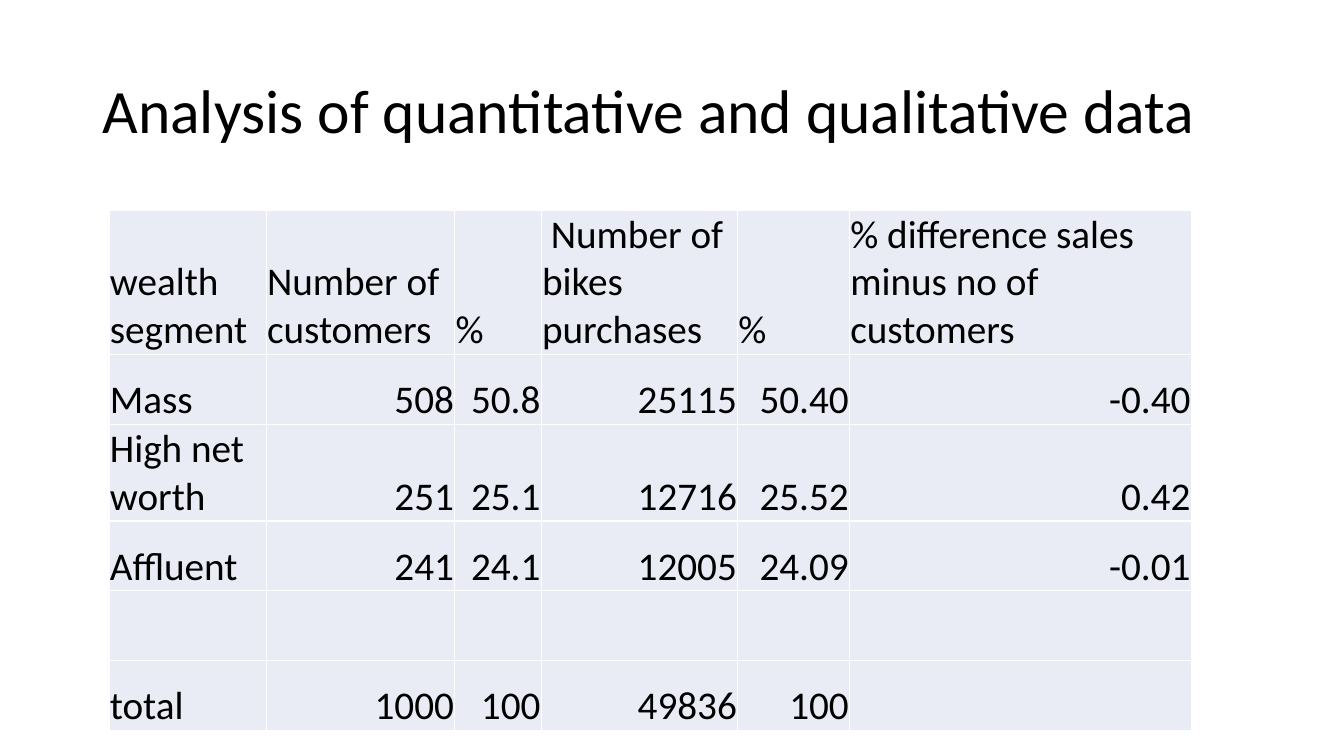
from pptx import Presentation
from pptx import util as u
from pptx.dml.color import RGBColor
from pptx.enum import text

# Content
TITLE = "Analysis of quantitative and qualitative data"
ROWS = [
    ("wealth segment", "Number of customers", "%", " Number of bikes purchases", "%",
     "% difference sales minus no of customers"),
    ("Mass", "508", "50.8", "25115", "50.40", "-0.40"),
    ("High net worth", "251", "25.1", "12716", "25.52", "0.42"),
    ("Affluent", "241", "24.1", "12005", "24.09", "-0.01"),
    ("", "", "", "", "", ""),
    ("total", "1000", "100", "49836", "100", ""),
]

# Layout in centimetres
COL_WIDTHS = (3.96, 4.75, 2.18, 4.95, 2.82, 8.61)
ROW_HEIGHT = 1.76
INSET = u.Cm(0.02)

FONT = "Calibri"
BLACK = RGBColor(0x00, 0x00, 0x00)
CELL_FILL = RGBColor(0xE9, 0xEB, 0xF5)


def add_run(p, words, size):
    r = p.add_run()
    r.text = words
    r.font.name = FONT
    r.font.size = u.Pt(size)
    r.font.color.rgb = BLACK


prs = Presentation()
prs.slide_width, prs.slide_height = u.Cm(33.87), u.Cm(19.05)
s = prs.slides.add_slide(prs.slide_layouts[5])

# Title
title = s.shapes.title
title.left, title.top, title.width, title.height = map(u.Cm, (2.33, 1.01, 29.21, 3.68))
tf = title.text_frame
tf.vertical_anchor = text.MSO_ANCHOR.MIDDLE
p = tf.paragraphs[0]
p.alignment = text.PP_ALIGN.LEFT
p.line_spacing = 0.9
add_run(p, TITLE, 44)

# Wealth segment table
table = s.shapes.add_table(
    len(ROWS), len(COL_WIDTHS), u.Cm(2.75), u.Cm(5.29),
    u.Cm(sum(COL_WIDTHS)), u.Cm(ROW_HEIGHT * len(ROWS))).table
table.first_row = table.horz_banding = False
for column, width in zip(table.columns, COL_WIDTHS):
    column.width = u.Cm(width)

for i, row in enumerate(ROWS):
    table.rows[i].height = u.Cm(ROW_HEIGHT)
    for j, words in enumerate(row):
        cell = table.cell(i, j)
        cell.fill.solid()
        cell.fill.fore_color.rgb = CELL_FILL
        if not words:
            continue
        cell.vertical_anchor = text.MSO_ANCHOR.BOTTOM
        cell.margin_left = cell.margin_right = cell.margin_top = INSET
        cell.margin_bottom = 0
        p = cell.text_frame.paragraphs[0]
        is_number = i > 0 and j > 0
        p.alignment = text.PP_ALIGN.RIGHT if is_number else text.PP_ALIGN.LEFT
        add_run(p, words, 28)

prs.save("out.pptx")
